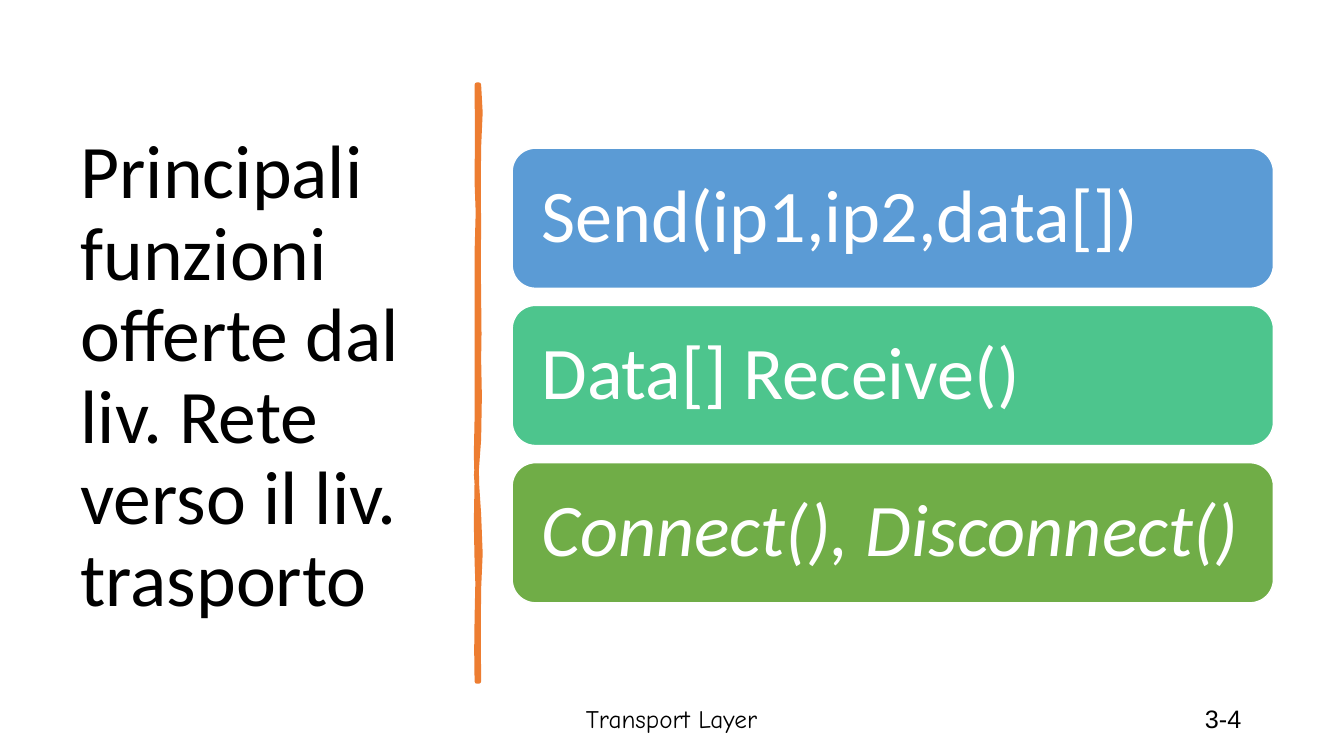
import pptx
import pptx.dml.color
import pptx.enum.shapes
import pptx.enum.text
import pptx.util

Inches = pptx.util.Inches
Pt = pptx.util.Pt
ALIGN = pptx.enum.text.PP_ALIGN

COLORS = {"black": "000000", "white": "FFFFFF", "orange": "ED7D31",
          "blue": "5B9BD5", "teal": "4DC58D", "green": "70AD47"}

TITLE = "Principali funzioni offerte dal liv. Rete verso il liv. trasporto"
FUNCTIONS = [  # text, fill, italic
    ("Send(ip1,ip2,data[])", "blue", False),
    ("Data[] Receive()", "teal", False),
    ("Connect(), Disconnect()", "green", True),
]
FOOTERS = [  # text, left, width, font, alignment
    ("Transport Layer", 4.41, 4.5, "Comic Neue", ALIGN.CENTER),
    ("3-4", 9.41, 3, "Arial", ALIGN.RIGHT),
]
CARD_LEFT, CARD_TOP, CARD_WIDTH, CARD_HEIGHT = 5.08, 1.47, 7.55, 1.39
CARD_PITCH = 1.56
CARD_PADDING = 0.07

DIVIDER_START = (4.75, 0.84)
DIVIDER_CURVES = [  # two control points and an end point each
    ((4.77, 1.02), (4.77, 1.19), (4.75, 1.46)),
    ((4.73, 1.73), (4.76, 1.95), (4.75, 2.26)),
    ((4.74, 2.57), (4.75, 2.62), (4.75, 2.94)),
    ((4.74, 3.25), (4.77, 3.42), (4.75, 3.56)),
    ((4.73, 3.7), (4.79, 4.14), (4.75, 4.36)),
    ((4.71, 4.57), (4.72, 4.84), (4.75, 5.1)),
    ((4.77, 5.36), (4.77, 5.64), (4.75, 5.84)),
    ((4.73, 6.03), (4.76, 6.5), (4.75, 6.76)),
    ((4.74, 6.76), (4.73, 6.76), (4.73, 6.76)),
    ((4.74, 6.46), (4.71, 6.44), (4.73, 6.13)),
    ((4.74, 5.83), (4.74, 5.7), (4.73, 5.57)),
    ((4.72, 5.44), (4.72, 4.95), (4.73, 4.77)),
    ((4.73, 4.59), (4.71, 4.45), (4.73, 4.15)),
    ((4.74, 3.86), (4.72, 3.73), (4.73, 3.35)),
    ((4.74, 2.98), (4.72, 2.81), (4.73, 2.5)),
    ((4.74, 2.18), (4.75, 2), (4.73, 1.81)),
    ((4.7, 1.63), (4.77, 1.04), (4.73, 0.84)),
]
CURVE_STEPS = 2


def rgb(name):
    return pptx.dml.color.RGBColor.from_string(COLORS[name])


def add_text(slide, text, box, font, size, color="black", align=ALIGN.LEFT,
             italic=False, inset=None, space_after=0):
    shape = slide.shapes.add_textbox(*map(Inches, box))
    frame = shape.text_frame
    frame.word_wrap = True
    frame.vertical_anchor = pptx.enum.text.MSO_ANCHOR.MIDDLE
    if inset is not None:
        frame.margin_left = frame.margin_right = Inches(inset)
        frame.margin_top = frame.margin_bottom = Inches(inset)
    paragraph = frame.paragraphs[0]
    paragraph.text = text
    paragraph.alignment = align
    paragraph.line_spacing = 0.9
    paragraph.space_after = Pt(space_after)
    paragraph.font.name = font
    paragraph.font.size = Pt(size)
    paragraph.font.italic = italic
    paragraph.font.color.rgb = rgb(color)


def paint(shape, fill, line, line_width):
    shape.shadow.inherit = False
    shape.fill.solid()
    shape.fill.fore_color.rgb = rgb(fill)
    shape.line.color.rgb = rgb(line)
    shape.line.width = Pt(line_width)


def curve_points(start, curves):
    """Sample a chain of cubic Bezier curves as points in EMU."""
    points = []
    for first, second, end in curves:
        for step in range(1, CURVE_STEPS + 1):
            t = step / CURVE_STEPS
            u = 1 - t
            points.append(tuple(
                Inches(u**3 * a + 3 * u * u * t * b + 3 * u * t * t * c + t**3 * d)
                for a, b, c, d in zip(start, first, second, end)))
        start = end
    return points


def add_divider(slide):
    builder = slide.shapes.build_freeform(*map(Inches, DIVIDER_START))
    builder.add_line_segments(curve_points(DIVIDER_START, DIVIDER_CURVES), close=True)
    paint(builder.convert_to_shape(), "orange", "orange", 3.25)


def add_card(slide, index, text, fill, italic):
    top = CARD_TOP + index * CARD_PITCH
    card = slide.shapes.add_shape(
        pptx.enum.shapes.MSO_SHAPE.ROUNDED_RECTANGLE,
        *map(Inches, (CARD_LEFT, top, CARD_WIDTH, CARD_HEIGHT)))
    paint(card, fill, "white", 1)
    box = (CARD_LEFT + CARD_PADDING, top + CARD_PADDING,
           CARD_WIDTH - 2 * CARD_PADDING, CARD_HEIGHT - 2 * CARD_PADDING)
    add_text(slide, text, box, "Calibri", 53, "white", italic=italic, inset=0.22)


def main():
    presentation = pptx.Presentation()
    presentation.slide_width = Inches(13.33)
    presentation.slide_height = Inches(7.5)
    slide = presentation.slides.add_slide(presentation.slide_layouts[6])

    add_text(slide, TITLE, (0.7, 0.7, 3.74, 6.1), "Calibri", 54)
    add_divider(slide)
    for text, left, width, font, align in FOOTERS:
        add_text(slide, text, (left, 6.95, width, 0.4), font, 18,
                 align=align, space_after=6)
    for index, (text, fill, italic) in enumerate(FUNCTIONS):
        add_card(slide, index, text, fill, italic)

    presentation.save("out.pptx")


if __name__ == "__main__":
    main()
